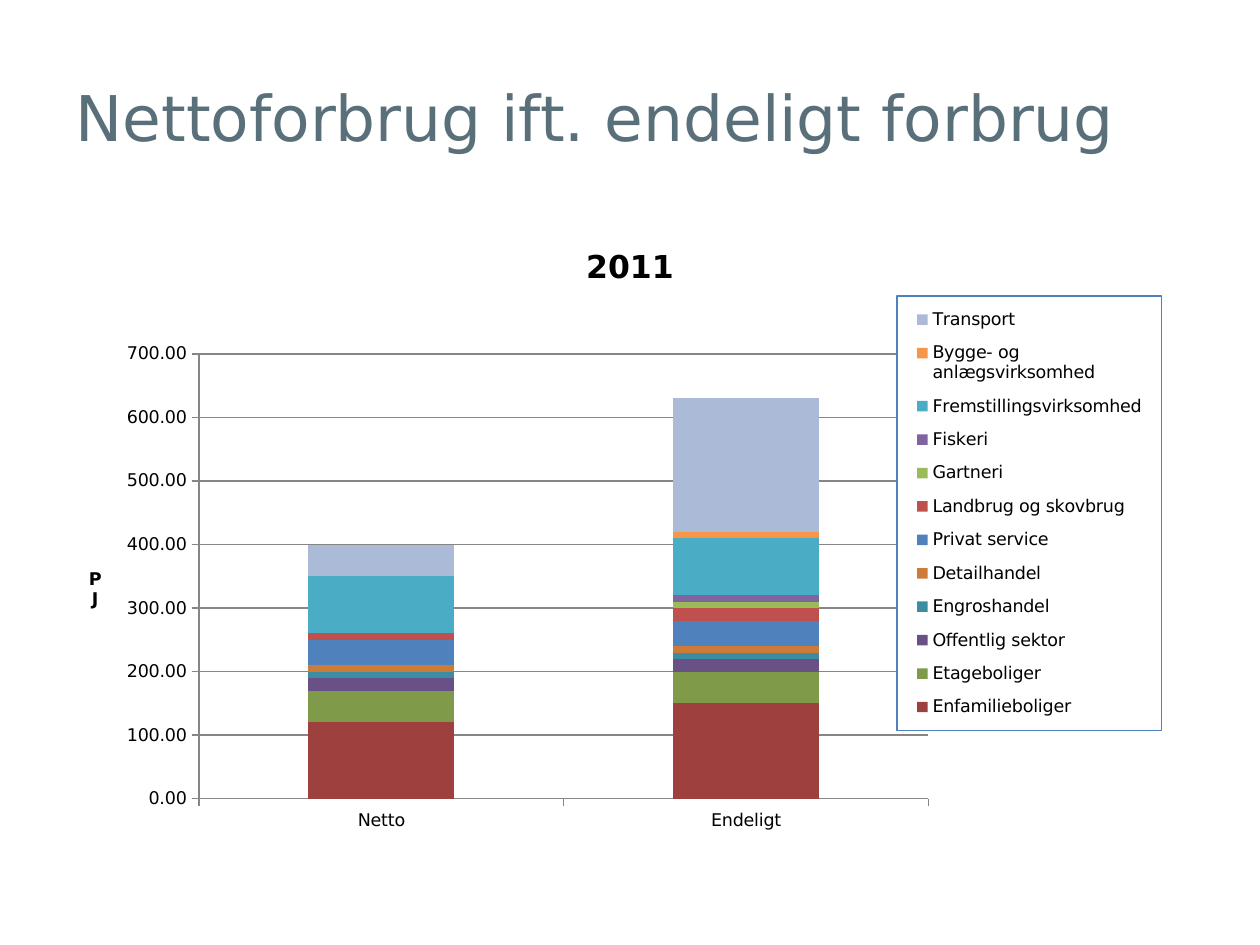
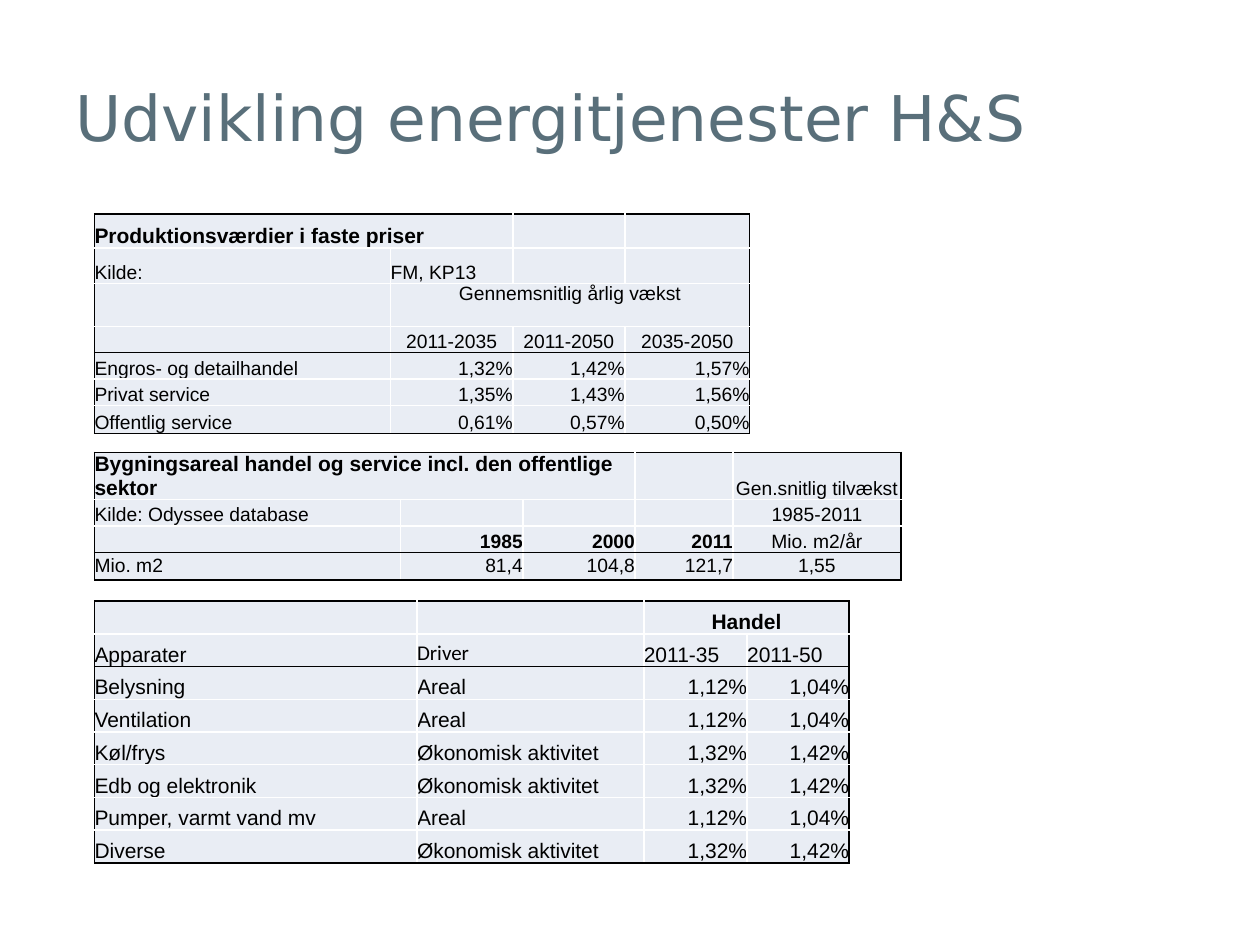
from lxml.etree import SubElement
from pptx import Presentation
from pptx.chart.data import CategoryChartData
from pptx.dml.color import RGBColor
from pptx.enum.chart import XL_CHART_TYPE, XL_LEGEND_POSITION, XL_TICK_MARK
from pptx.enum.text import MSO_ANCHOR, MSO_AUTO_SIZE, PP_ALIGN
from pptx.oxml import parse_xml
from pptx.oxml.ns import nsdecls, qn
from pptx.util import Inches, Pt

# Shared look
BLACK = RGBColor(0x00, 0x00, 0x00)
WHITE = RGBColor(0xFF, 0xFF, 0xFF)
SLATE = RGBColor(0x59, 0x6F, 0x7A)
PALE = RGBColor(0xE9, 0xED, 0xF4)
GRAY = RGBColor(0x86, 0x86, 0x86)
BLUE = RGBColor(0x4F, 0x81, 0xBD)
SANS = "DejaVu Sans"
ALIGN = {"l": PP_ALIGN.LEFT, "c": PP_ALIGN.CENTER, "r": PP_ALIGN.RIGHT}

# Energy use in PJ: name, net, final, colour
USES = [
    ("Enfamilieboliger", 120, 150, RGBColor(0x9E, 0x41, 0x3E)),
    ("Etageboliger", 50, 50, RGBColor(0x7F, 0x9A, 0x48)),
    ("Offentlig sektor", 20, 20, RGBColor(0x69, 0x51, 0x85)),
    ("Engroshandel", 10, 10, RGBColor(0x3C, 0x8D, 0xA3)),
    ("Detailhandel", 10, 10, RGBColor(0xCC, 0x7B, 0x38)),
    ("Privat service", 40, 40, BLUE),
    ("Landbrug og skovbrug", 10, 20, RGBColor(0xC0, 0x50, 0x4D)),
    ("Gartneri", 0, 10, RGBColor(0x9B, 0xBB, 0x59)),
    ("Fiskeri", 0, 10, RGBColor(0x80, 0x64, 0xA2)),
    ("Fremstillingsvirksomhed", 90, 90, RGBColor(0x4B, 0xAC, 0xC6)),
    ("Bygge- og anlægsvirksomhed", 0, 10, RGBColor(0xF7, 0x96, 0x46)),
    ("Transport", 50, 210, RGBColor(0xAA, 0xBA, 0xD7)),
]

# Table rows: height, alignment of each column, texts.
# None continues the cell to its left; a leading * marks bold text.
GROWTH = [
    (0.27, "llll", ["*Produktionsværdier i faste priser", None, "", ""]),
    (0.28, "llll", ["Kilde:", "FM, KP13", "", ""]),
    (0.34, "lccc", ["", "Gennemsnitlig årlig vækst", None, None]),
    (0.21, "lccc", ["", "2011-2035", "2011-2050", "2035-2050"]),
    (0.21, "lrrr", ["Engros- og detailhandel", "1,32%", "1,42%", "1,57%"]),
    (0.21, "lrrr", ["Privat service", "1,35%", "1,43%", "1,56%"]),
    (0.22, "lrrr", ["Offentlig service", "0,61%", "0,57%", "0,50%"]),
]
AREA = [
    (0.37, "llllc", ["*Bygningsareal handel og service incl. den offentlige sektor",
                     None, None, "", "Gen.snitlig tilvækst"]),
    (0.21, "llllc", ["Kilde: Odyssee database", "", "", "", "1985-2011"]),
    (0.21, "lrrrc", ["", "*1985", "*2000", "*2011", "Mio. m2/år"]),
    (0.22, "lrrrc", ["Mio. m2", "81,4", "104,8", "121,7", "1,55"]),
]
SPACE = ("Areal", "1,12%", "1,04%")
TRADE = ("Økonomisk aktivitet", "1,32%", "1,42%")
DRIVERS = [
    ("Belysning", SPACE), ("Ventilation", SPACE), ("Køl/frys", TRADE),
    ("Edb og elektronik", TRADE), ("Pumper, varmt vand mv", SPACE),
    ("Diverse", TRADE),
]
DEVICES = [
    (0.26, "llcc", ["", "", "*Handel", None]),
    (0.26, "llll", ["Apparater", "Driver", "2011-35", "2011-50"]),
] + [(0.26, "llrr", [name, *rest]) for name, rest in DRIVERS]


def style(font, size, face=SANS, color=BLACK, bold=False):
    font.size, font.name, font.bold = Pt(size), face, bold
    font.color.rgb = color


def write(frame, text, align="l", anchor=MSO_ANCHOR.BOTTOM, **look):
    """Put one formatted paragraph in a text frame."""
    frame.vertical_anchor = anchor
    para = frame.paragraphs[0]
    para.alignment = ALIGN[align]
    if text:
        run = para.add_run()
        run.text = text
        style(run.font, **look)
    else:
        SubElement(para._p, qn("a:endParaRPr"), sz=str(look["size"] * 100))


def start(deck, text):
    """Add a slide with the shared title."""
    slide = deck.slides.add_slide(deck.slide_layouts[5])
    title = slide.shapes.title
    title.left, title.top, title.width, title.height = map(
        Inches, (0.5, 0.3, 9, 1.25))
    title.text_frame.auto_size = MSO_AUTO_SIZE.NONE
    title.text_frame.word_wrap = True
    write(title.text_frame, text, anchor=MSO_ANCHOR.MIDDLE, size=36, color=SLATE)
    return slide


def place(part, box, x, y, w=None, h=None, inner=False):
    """Fix a chart part, given in inches from the corner of the chart's box."""
    for old in part.findall(qn("c:layout")):
        part.remove(old)
    wide, tall = box[2:]
    rules = [("layoutTarget", "inner")] if inner else []
    rules += [("xMode", "edge"), ("yMode", "edge"), ("x", x / wide), ("y", y / tall)]
    if w:
        rules += [("w", w / wide), ("h", h / tall)]
    tags = "".join(f'<c:{tag} val="{val}"/>' for tag, val in rules)
    layout = parse_xml(f'<c:layout {nsdecls("c")}><c:manualLayout>{tags}'
                       "</c:manualLayout></c:layout>")
    # The layout comes after the text or the legend position
    lead = [kid for kid in part if kid.tag in (qn("c:tx"), qn("c:legendPos"))]
    part.insert(len(lead), layout)


def stack(slide, box):
    """Stacked columns of energy use, with the legend over the right edge."""
    data = CategoryChartData(number_format="0.00")
    data.categories = ["Netto", "Endeligt"]
    for name, net, final, _ in USES:
        data.add_series(name, (net, final))
    chart = slide.shapes.add_chart(
        XL_CHART_TYPE.COLUMN_STACKED, *map(Inches, box), data).chart
    style(chart.font, 10)
    write(chart.chart_title.text_frame, "2011", "c", size=18, bold=True)
    place(chart._chartSpace.chart.plotArea, box, 1.08, 1.06, 5.79, 3.53, inner=True)

    # Columns
    plot = chart.plots[0]
    plot.gap_width, plot.overlap, plot.vary_by_categories = 150, 100, False
    for bar, (*_, color) in zip(plot.series, USES):
        bar.format.fill.solid()
        bar.format.fill.fore_color.rgb = color

    # Axes
    scale = chart.value_axis
    scale.minimum_scale, scale.maximum_scale, scale.major_unit = 0, 700, 100
    scale.tick_labels.number_format = "0.00"
    scale.tick_labels.number_format_is_linked = False
    scale.has_major_gridlines = True
    for axis in (scale, chart.category_axis):
        axis.major_tick_mark = XL_TICK_MARK.OUTSIDE
        axis.format.line.color.rgb = GRAY
    scale.major_gridlines.format.line.color.rgb = GRAY
    unit = scale.axis_title
    write(unit.text_frame, "PJ", "c", size=10, bold=True)
    body = unit.text_frame._txBody.bodyPr
    body.set("rot", "0")
    body.set("vert", "wordArtVert")
    place(unit._element, box, 0.18, 2.73)

    # Legend
    chart.has_legend = True
    key = chart.legend
    key.position, key.include_in_layout = XL_LEGEND_POSITION.RIGHT, False
    place(key._element, box, 6.62, 0.6, 2.1, 3.45)
    frame = parse_xml(
        f'<c:spPr {nsdecls("c", "a")}><a:solidFill><a:srgbClr val="{WHITE}"/>'
        f'</a:solidFill><a:ln w="9525"><a:solidFill><a:srgbClr val="{BLUE}"/>'
        "</a:solidFill></a:ln></c:spPr>")
    key._element.find(qn("c:overlay")).addnext(frame)
    style(key.font, 10)


def edge(cell, **sides):
    """Draw the four borders of a cell."""
    props = cell._tc.get_or_add_tcPr()
    for side in "LRTB":
        line = SubElement(props, qn(f"a:ln{side}"), w=str(Pt(1)))
        fill = SubElement(line, qn("a:solidFill"))
        color = BLACK if sides[side] else WHITE
        SubElement(fill, qn("a:srgbClr"), val=str(color))


def grid(slide, spot, cols, rows, head, size=11, middle=()):
    """Pale table with a black outline and a black rule under its head rows."""
    wide, tall = len(cols), len(rows)
    table = slide.shapes.add_table(
        tall, wide, *map(Inches, (*spot, sum(cols), sum(r[0] for r in rows)))).table
    table.first_row = table.horz_banding = False
    for col, width in zip(table.columns, cols):
        col.width = Inches(width)
    for i, (height, aligns, texts) in enumerate(rows):
        table.rows[i].height = Inches(height)
        for j, text in enumerate(texts):
            cell = table.cell(i, j)
            end = j + 1
            while end < wide and texts[end] is None:
                end += 1
            edge(cell, L=j == 0, R=end == wide,
                 T=i in (0, head), B=i + 1 in (head, tall))
            cell.fill.solid()
            cell.fill.fore_color.rgb = PALE
            cell.margin_left = cell.margin_right = 0
            cell.margin_top = cell.margin_bottom = 0
            if text is None:
                continue
            if end > j + 1:
                cell.merge(table.cell(i, end - 1))
            bold = text.startswith("*")
            write(cell.text_frame, text.lstrip("*"), aligns[j],
                  size=12 if bold and i == 0 else size, bold=bold,
                  face="Calibri" if text == "Driver" else "Arial")
            cell.vertical_anchor = (
                MSO_ANCHOR.TOP if text.startswith("Gennemsnitlig")
                else MSO_ANCHOR.MIDDLE if i in middle else MSO_ANCHOR.BOTTOM)


def main():
    deck = Presentation()
    deck.slide_width, deck.slide_height = Inches(10), Inches(7.5)

    stack(start(deck, "Nettoforbrug ift. endeligt forbrug"), (0.5, 1.75, 9, 4.95))

    slide = start(deck, "Udvikling energitjenester H&S")
    grid(slide, (0.75, 1.7), (2.35, 0.97, 0.89, 0.99), GROWTH, head=4)
    grid(slide, (0.75, 3.59), (2.43, 0.97, 0.89, 0.78, 1.33), AREA, head=3, middle=(3,))
    grid(slide, (0.75, 4.77), (2.56, 1.8, 0.82, 0.81), DEVICES, head=2, size=12)
    deck.save("out.pptx")


if __name__ == "__main__":
    main()
